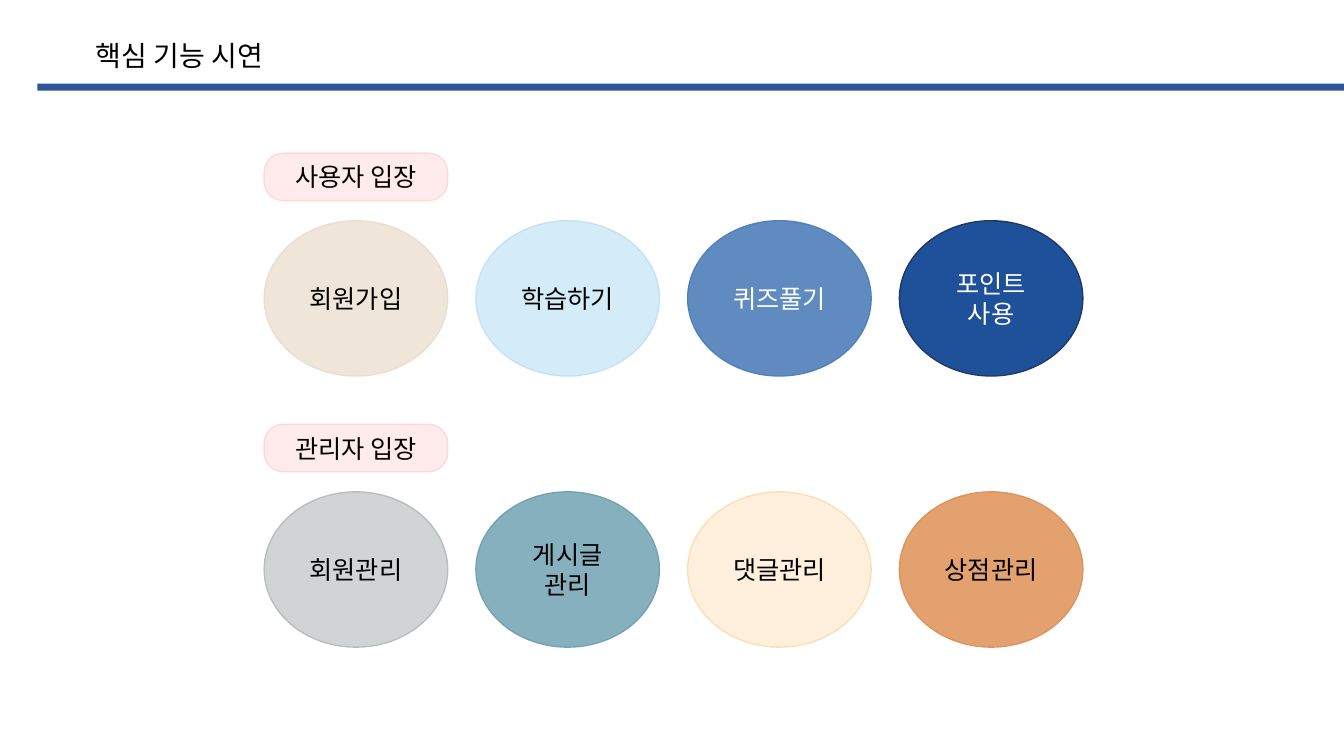
from lxml.etree import SubElement
from pptx import Presentation
from pptx.dml.color import RGBColor
from pptx.enum.shapes import MSO_SHAPE as Shape
from pptx.enum.text import MSO_ANCHOR as Anchor, PP_ALIGN as Align
from pptx.oxml.ns import qn
from pptx.util import Inches, Pt

FONT = "Noto Sans CJK KR"
COLORS = {
    "black": "000000", "white": "FFFFFF", "bar": "2F5597",
    "pink": "FFEBEB", "pink_line": "FFD9D9",
    "sand": "EFE6D9", "sand_line": "EADFCE",
    "sky": "D4EBF8", "sky_line": "C3E3F5",
    "blue": "608BC1", "blue_line": "5181BB",
    "navy": "1F509A", "navy_line": "203864",
    "gray": "D1D3D4", "gray_line": "BABDBE",
    "teal": "86B0BD", "teal_line": "72A3B2",
    "cream": "FFF0DD", "cream_line": "FFDDB3",
    "orange": "E2A16F", "orange_line": "DE945C",
}

# Role, then (feature, fill, text colour) for each circle
ROLES = [
    ("사용자 입장", [("회원가입", "sand", "black"), ("학습하기", "sky", "black"),
                 ("퀴즈풀기", "blue", "white"), ("포인트 사용", "navy", "white")]),
    ("관리자 입장", [("회원관리", "gray", "black"), ("게시글\n관리", "teal", "black"),
                 ("댓글관리", "cream", "black"), ("상점관리", "orange", "black")]),
]
ROLE_LEFT, ROLE_TOP, ROLE_PITCH = 2.62, 1.52, 2.69
ITEM_W, ITEM_H, ITEM_PITCH = 1.82, 1.54, 2.1
LABEL_H, LABEL_PITCH = 0.47, 0.67


def rgb(name):
    return RGBColor.from_string(COLORS[name])


def write(tf, text, size=18, color="black", align=Align.CENTER, wrap=True):
    tf.word_wrap = wrap
    tf.vertical_anchor = Anchor.MIDDLE
    p = tf.paragraphs[0]
    p.text = text
    p.alignment = align
    for r in p.runs:
        r.font.size = Pt(size)
        r.font.name = FONT
        r.font.color.rgb = rgb(color)
        SubElement(r.font._element, qn("a:ea"), typeface=FONT)


def add_block(s, kind, box, fill, line=None):
    sp = s.shapes.add_shape(kind, *map(Inches, box))
    sp.shadow.inherit = False
    sp.fill.solid()
    sp.fill.fore_color.rgb = rgb(fill)
    if line:
        sp.line.color.rgb = rgb(line)
        sp.line.width = Pt(1)
    else:
        sp.line.fill.background()
    return sp


def add_header(s, text):
    add_block(s, Shape.RECTANGLE, (0.37, 0.83, 12.96, 0.07), "bar")
    title = s.shapes.title
    title.left, title.top, title.width, title.height = map(Inches, (0.85, 0.33, 2.08, 0.44))
    write(title.text_frame, text, size=20, align=Align.LEFT, wrap=False)


def add_role(s, left, top, role, features):
    """Place a role label above its row of feature circles."""
    label = add_block(s, Shape.ROUNDED_RECTANGLE, (left, top, ITEM_W, LABEL_H),
                      "pink", "pink_line")
    label.adjustments[0] = 0.4
    write(label.text_frame, role)
    for i, (text, fill, color) in enumerate(features):
        box = (left + i * ITEM_PITCH, top + LABEL_PITCH, ITEM_W, ITEM_H)
        circle = add_block(s, Shape.OVAL, box, fill, f"{fill}_line")
        write(circle.text_frame, text, color=color)


def main():
    prs = Presentation()
    prs.slide_width, prs.slide_height = Inches(13.33), Inches(7.5)
    s = prs.slides.add_slide(prs.slide_layouts.get_by_name("Title Only"))
    add_header(s, "핵심 기능 시연")
    for i, (role, features) in enumerate(ROLES):
        add_role(s, ROLE_LEFT, ROLE_TOP + i * ROLE_PITCH, role, features)
    prs.save("out.pptx")


if __name__ == "__main__":
    main()
